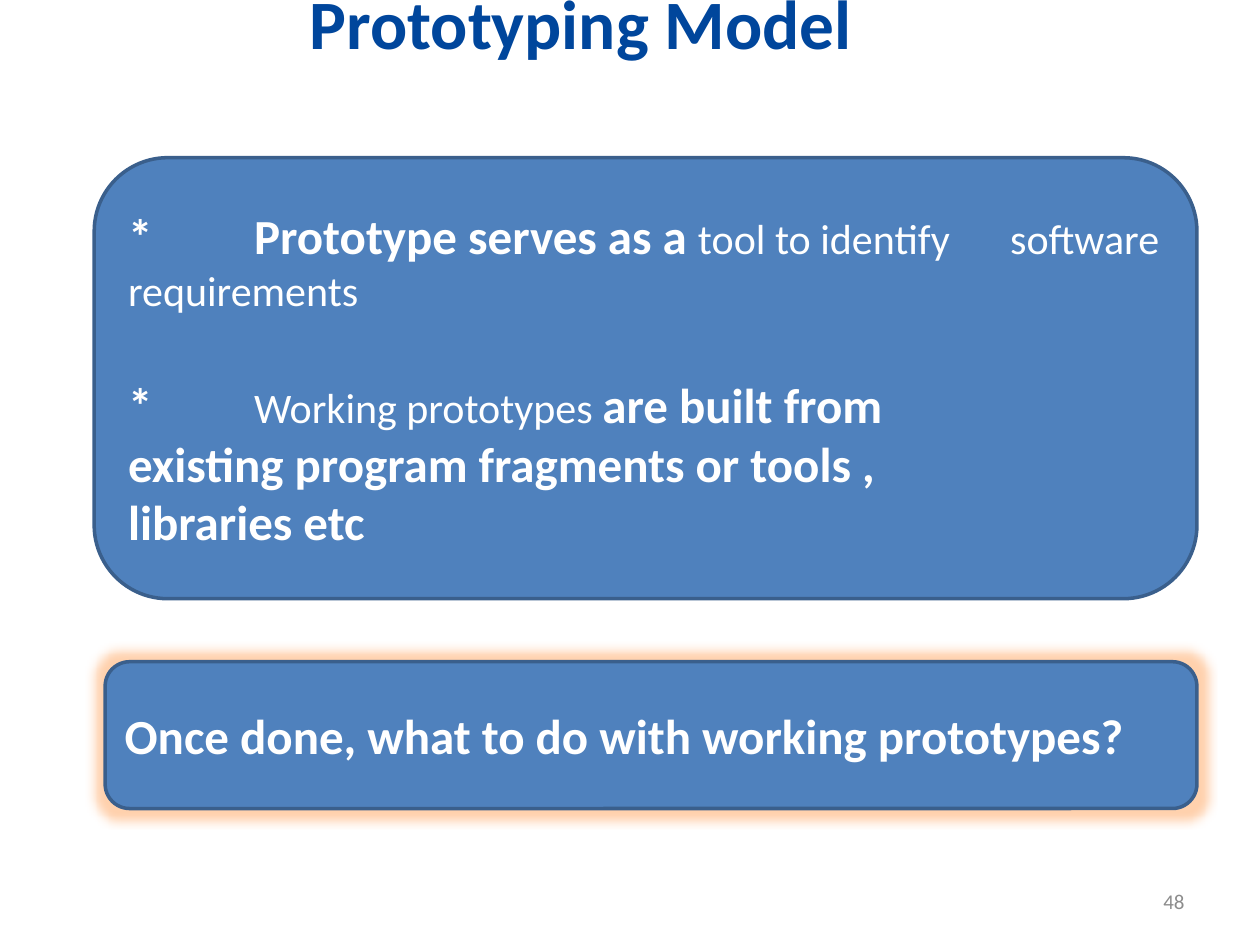
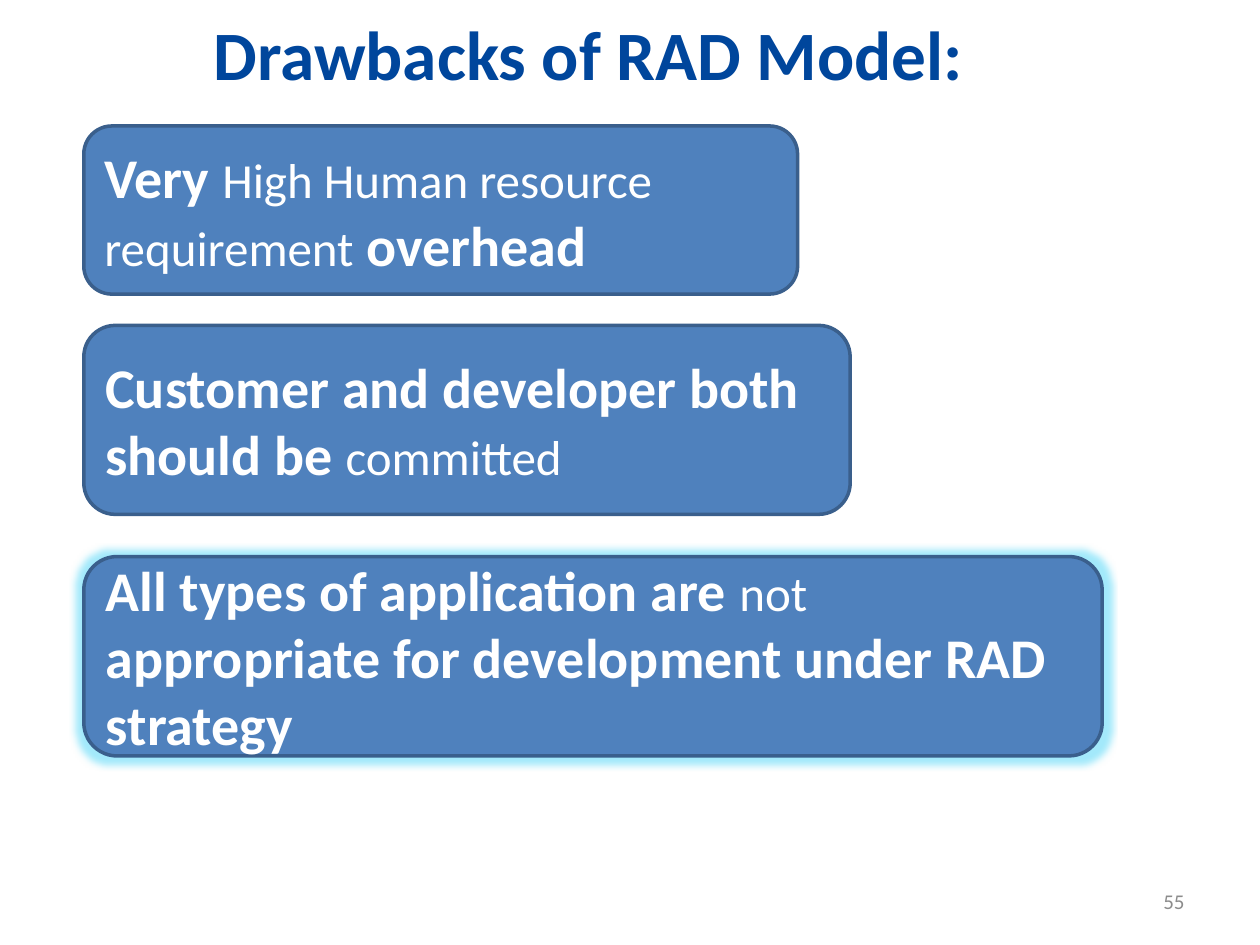
from dataclasses import dataclass
from lxml import etree
from pptx import Presentation
from pptx import util as u
from pptx.dml import color
from pptx.enum import shapes, text
from pptx.oxml import ns


@dataclass(frozen=True)
class Theme:
    font: str = "Calibri"
    title: str = "00469C"
    card: str = "4F81BD"
    border: str = "3A5F8C"
    light: str = "FFFFFF"
    muted: str = "8C8C8C"
    orange: str = "FF8C32"
    cyan: str = "19C9F5"
    title_size: float = 39.6
    number_size: float = 12
    large: float = 32
    medium: float = 28
    small: float = 24
    border_width: float = 2
    tab_width: float = 2.54


THEME = Theme()
TITLE_BOX = (1.07, 0, 21.59, 2.54)
NUMBER_BOX = (18.2, 17.66, 5.93, 1.02)


def rgb(value):
    return color.RGBColor.from_string(value)


def add_span(para, words, size, tint, bold=False):
    for index, line in enumerate(words.split("\n")):
        if index:
            para.add_line_break()
        span = para.add_run()
        span.text = line
        span.font.name = THEME.font
        span.font.size = u.Pt(size)
        span.font.bold = bold
        span.font.color.rgb = rgb(tint)


def prepare_frame(shape):
    frame = shape.text_frame
    frame.word_wrap = True
    frame.vertical_anchor = text.MSO_ANCHOR.MIDDLE
    return frame


def add_label(page, box, align):
    label = page.shapes.add_textbox(*map(u.Cm, box))
    para = prepare_frame(label).paragraphs[0]
    para.alignment = align
    return para


def add_title(page, words, top):
    left, _, width, height = TITLE_BOX
    para = add_label(page, (left, top, width, height), text.PP_ALIGN.CENTER)
    para.font.size = u.Pt(THEME.title_size)
    add_span(para, words, THEME.title_size, THEME.title, True)
    para.add_line_break()


def add_number(page, number):
    para = add_label(page, NUMBER_BOX, text.PP_ALIGN.RIGHT)
    add_span(para, str(number), THEME.number_size, THEME.muted)


def add_glow(shape, tint, radius):
    effects = shape._element.spPr.find(ns.qn("a:effectLst"))
    glow = etree.SubElement(effects, ns.qn("a:glow"), rad=str(u.Pt(radius)))
    shade = etree.SubElement(glow, ns.qn("a:srgbClr"), val=tint)
    etree.SubElement(shade, ns.qn("a:alpha"), val="40000")


def set_tab_width(para, width):
    properties = para._p.get_or_add_pPr()
    properties.set("defTabSz", str(u.Cm(width)))
    tabs = etree.SubElement(properties, ns.qn("a:tabLst"))
    for step in range(1, 9):
        etree.SubElement(tabs, ns.qn("a:tab"), pos=str(u.Cm(step * width)), algn="l")


def add_card(page, box, paragraphs, strong, plain, gap=0):
    card = page.shapes.add_shape(shapes.MSO_SHAPE.ROUNDED_RECTANGLE, *map(u.Cm, box))
    card.shadow.inherit = False
    card.fill.solid()
    card.fill.fore_color.rgb = rgb(THEME.card)
    card.line.color.rgb = rgb(THEME.border)
    card.line.width = u.Pt(THEME.border_width)
    frame = prepare_frame(card)
    for index, spans in enumerate(paragraphs):
        para = frame.add_paragraph() if index else frame.paragraphs[0]
        para.alignment = text.PP_ALIGN.LEFT
        para.space_before = u.Pt(gap if index else 0)
        set_tab_width(para, THEME.tab_width)
        for words, bold in spans:
            add_span(para, words, strong if bold else plain, THEME.light, bold)
    return card


def add_page(deck, title, title_top, number):
    page = deck.slides.add_slide(deck.slide_layouts[6])
    add_title(page, title, title_top)
    add_number(page, number)
    return page


def prototyping_page(deck):
    page = add_page(deck, "Prototyping Model ", 0, 48)
    points = [
        [
            ("*\tPrototype serves as a ", True),
            ("tool to identify", False),
            (" \t", True),
            ("software requirements", False),
        ],
        [
            ("*\t", True),
            ("Working prototypes ", False),
            ("are built from\nexisting program fragments or tools ,\nlibraries etc", True),
        ],
    ]
    add_card(page, (1.9, 3.18, 22.23, 8.89), points, THEME.medium, THEME.small, 34)
    question = [[("Once done, what to do with working prototypes?", True)]]
    card = add_card(page, (2.12, 13.34, 22.01, 2.96), question, THEME.medium, THEME.small)
    add_glow(card, THEME.orange, 11)


def drawbacks_page(deck):
    page = add_page(deck, "Drawbacks of RAD Model:", 0.64, 55)
    left = 1.69
    drawbacks = [
        (2.54, 14.39, 3.39, [
            ("Very ", True),
            ("High Human resource requirement", False),
            (" overhead ", True),
        ]),
        (6.56, 15.45, 3.81, [
            ("Customer and developer both should be ", True),
            ("committed", False),
        ]),
        (11.22, 20.53, 4.02, [
            ("All types of application are ", True),
            ("not", False),
            (" appropriate for development under RAD strategy", True),
        ]),
    ]
    for top, width, height, spans in drawbacks:
        card = add_card(page, (left, top, width, height), [spans], THEME.large, THEME.medium)
    add_glow(card, THEME.cyan, 8)


deck = Presentation()
deck.slide_width, deck.slide_height = u.Cm(25.4), u.Cm(19.05)
prototyping_page(deck)
drawbacks_page(deck)
deck.save("out.pptx")
